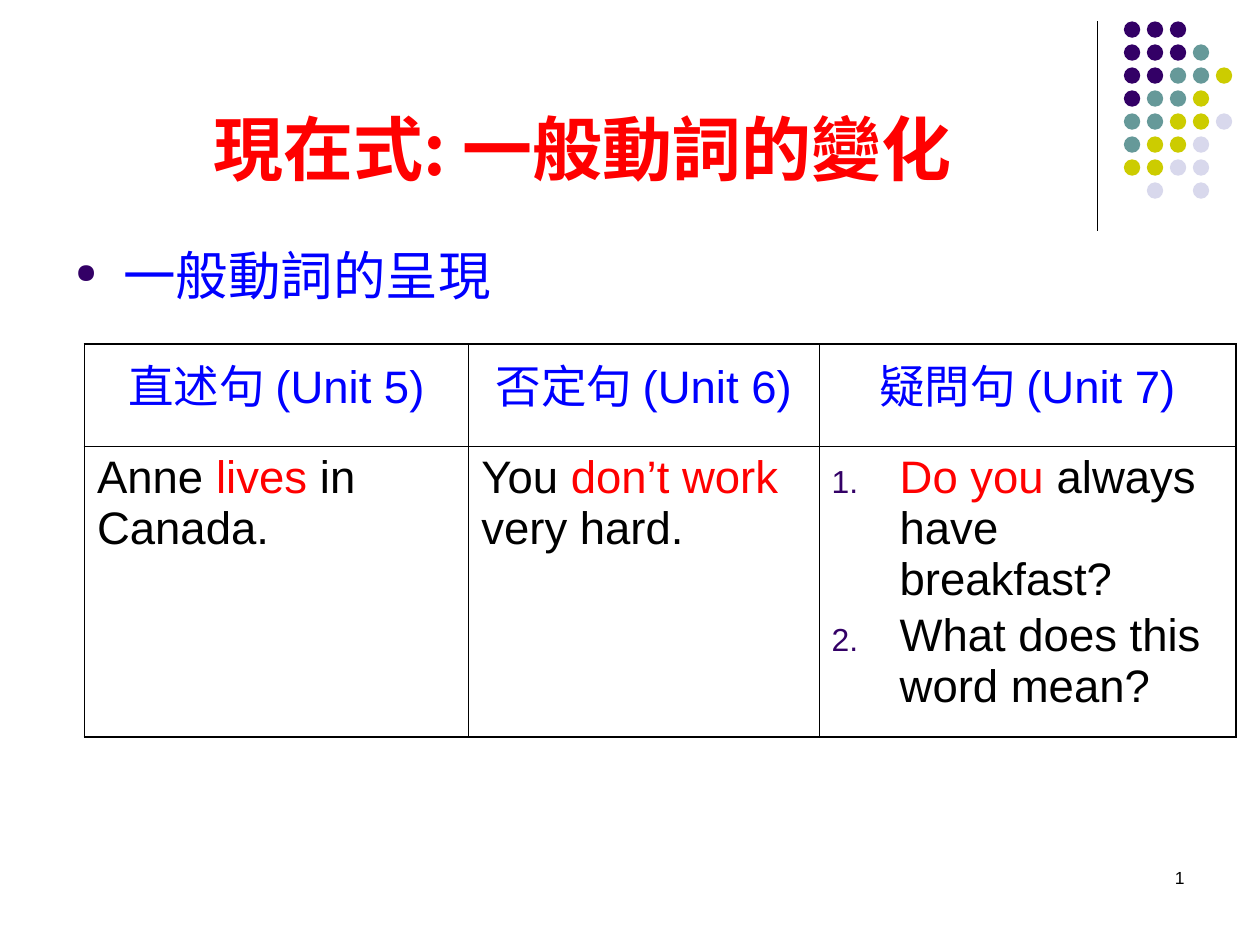
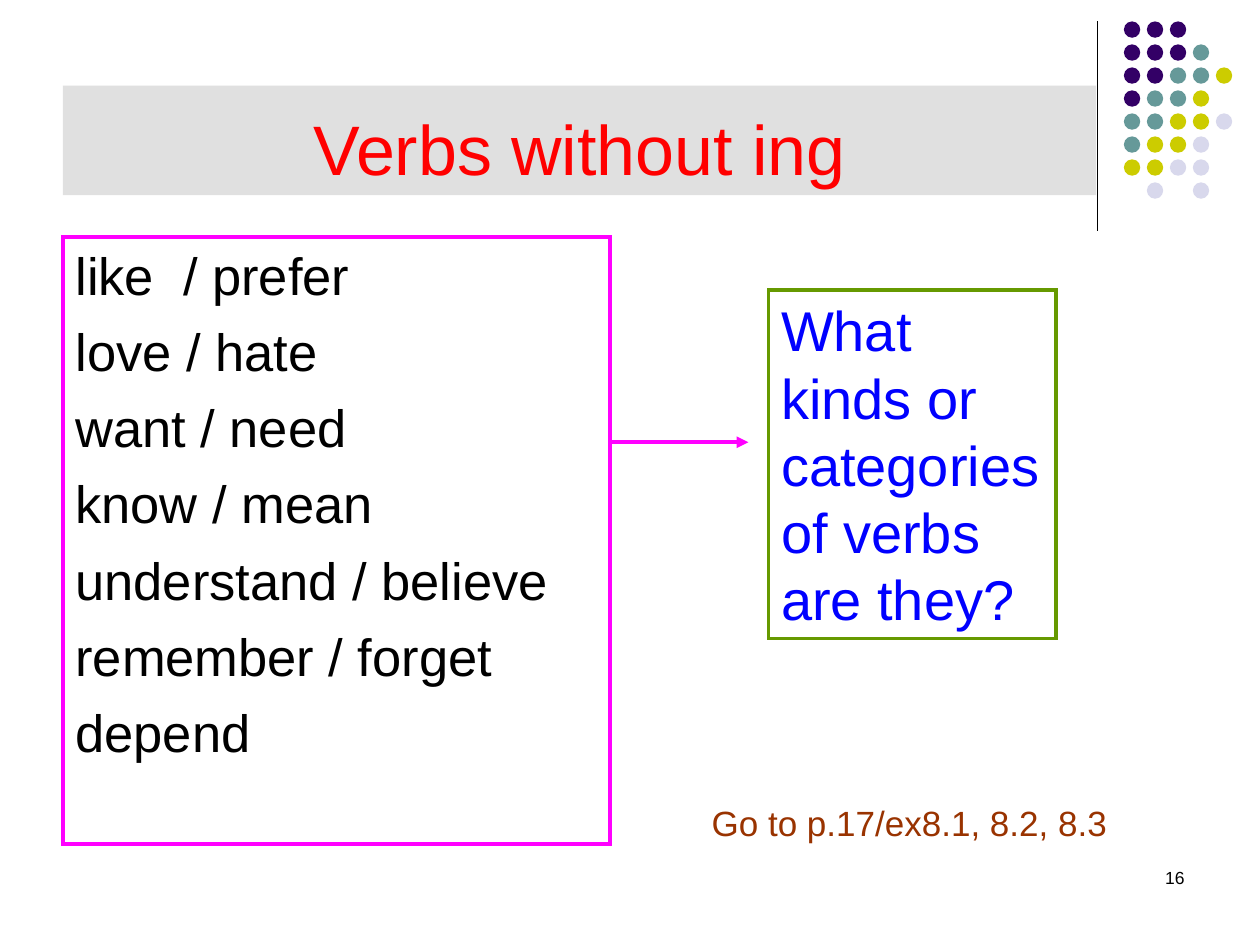
from lxml.etree import SubElement
from pptx import Presentation
from pptx.dml.color import RGBColor
from pptx.enum.shapes import MSO_CONNECTOR, MSO_SHAPE
from pptx.enum.text import MSO_ANCHOR, PP_ALIGN
from pptx.oxml.ns import qn
from pptx.util import Inches, Pt

BLACK = RGBColor(0x00, 0x00, 0x00)
RED = RGBColor(0xFF, 0x00, 0x00)
BLUE = RGBColor(0x00, 0x00, 0xFF)
MAGENTA = RGBColor(0xFF, 0x00, 0xFF)
GREEN = RGBColor(0x66, 0x99, 0x00)
BROWN = RGBColor(0x99, 0x33, 0x00)
GREY = RGBColor(0xC0, 0xC0, 0xC0)
PURPLE = RGBColor(0x33, 0x00, 0x66)
TEAL = RGBColor(0x66, 0x99, 0x99)
OLIVE = RGBColor(0xCC, 0xCC, 0x00)
LAVENDER = RGBColor(0xD8, 0xD8, 0xEC)

LATIN_FONT = "Arial"
CJK_FONT = "Noto Sans CJK SC"

DOT_COLOURS = {"P": PURPLE, "T": TEAL, "O": OLIVE, "L": LAVENDER}
DOT_ROWS = ["PPP", "PPPT", "PPTTO", "PTTO", "TTOOL", "TOOL", "OOLL", ".L.L"]
DOT_SIZE = 0.13
DOT_PITCH = 0.73 / 4

TITLE_SIZE = 40
BODY_SIZE = 30
TABLE_SIZE = 26
THICK, THIN = 1.08, 0.45


def add_xml(parent, tag, **attributes):
    return SubElement(parent, qn(tag), attributes)


def set_bullet(paragraph, indent, char=None):
    """Hang the paragraph on a bullet character, or on a number if none is given."""
    properties = paragraph._p.get_or_add_pPr()
    properties.set("marL", str(Inches(indent)))
    properties.set("indent", str(-Inches(indent)))
    add_xml(add_xml(properties, "a:buClr"), "a:srgbClr", val=str(PURPLE))
    add_xml(properties, "a:buSzPct", val="52000" if char else "70000")
    if char:
        add_xml(properties, "a:buChar", char=char)
    else:
        add_xml(properties, "a:buAutoNum", type="arabicPeriod")


def write_text(frame, paragraphs, size, colour=BLACK, font=LATIN_FONT, bold=False,
               align=PP_ALIGN.LEFT, anchor=MSO_ANCHOR.TOP, space_before=0,
               indent=None, bullet=None):
    """Each paragraph is a string or a list of (text, colour) runs."""
    frame.word_wrap = True
    frame.vertical_anchor = anchor
    for index, content in enumerate(paragraphs):
        paragraph = frame.paragraphs[0] if index == 0 else frame.add_paragraph()
        if indent:
            set_bullet(paragraph, indent, bullet)
        paragraph.alignment = align
        paragraph.space_before = Pt(space_before if index else 0)
        runs = [(content, colour)] if isinstance(content, str) else content
        for text, run_colour in runs:
            run = paragraph.add_run()
            run.text = text
            run.font.size = Pt(size)
            run.font.bold = bold
            run.font.name = font
            run.font.color.rgb = run_colour
            add_xml(run._r.get_or_add_rPr(), "a:ea", typeface=CJK_FONT)


def add_box(slide, box, shape=MSO_SHAPE.RECTANGLE, fill=None, line=None, width=2.25):
    part = slide.shapes.add_shape(shape, *map(Inches, box))
    part.shadow.inherit = False
    if fill is None:
        part.fill.background()
    else:
        part.fill.solid()
        part.fill.fore_color.rgb = fill
    if line is None:
        part.line.fill.background()
    else:
        part.line.color.rgb = line
        part.line.width = Pt(width)
        add_xml(part.line._get_or_add_ln(), "a:miter", lim="800000")
    return part


def add_label(slide, box, paragraphs, **text_format):
    label = slide.shapes.add_textbox(*map(Inches, box))
    write_text(label.text_frame, paragraphs, **text_format)


def add_line(slide, start, end, colour, width, arrow=False):
    line = slide.shapes.add_connector(MSO_CONNECTOR.STRAIGHT, *map(Inches, start + end))
    line.line.color.rgb = colour
    line.line.width = Pt(width)
    if arrow:
        add_xml(line.line._get_or_add_ln(), "a:tailEnd", type="triangle")
    add_xml(line._element.spPr, "a:effectLst")


def add_corner_dots(slide, left, top):
    for row, pattern in enumerate(DOT_ROWS):
        for column, key in enumerate(pattern):
            if key in DOT_COLOURS:
                dot = (left + column * DOT_PITCH, top + row * DOT_PITCH, DOT_SIZE, DOT_SIZE)
                add_box(slide, dot, MSO_SHAPE.OVAL, fill=DOT_COLOURS[key])


def add_slide(deck, number):
    """Blank slide with the corner decoration and its page number."""
    slide = deck.slides.add_slide(deck.slide_layouts[6])
    add_line(slide, (8.71, 0.17), (8.71, 1.83), BLACK, 0.75)
    add_corner_dots(slide, 8.92, 0.17)
    add_label(slide, (7.17, 6.83, 2.33, 0.5), [number], size=10, align=PP_ALIGN.RIGHT)
    return slide


def set_borders(cell, **widths):
    properties = cell._tc.get_or_add_tcPr()
    for position, side in enumerate("LRTB"):
        border = properties.makeelement(qn(f"a:ln{side}"), {"w": str(Pt(widths[side]))})
        add_xml(add_xml(border, "a:solidFill"), "a:srgbClr", val=str(BLACK))
        properties.insert(position, border)


def add_sentence_table(slide, box, column_widths, row_heights, headings, examples):
    rows, columns = len(row_heights), len(column_widths)
    table = slide.shapes.add_table(rows, columns, *map(Inches, box)).table
    table.first_row = table.horz_banding = False
    for column, width in zip(table.columns, column_widths):
        column.width = Inches(width)
    for row, height in zip(table.rows, row_heights):
        row.height = Inches(height)
    for c, (heading, example) in enumerate(zip(headings, examples)):
        write_text(table.cell(0, c).text_frame, [heading], size=TABLE_SIZE,
                   colour=BLUE, align=PP_ALIGN.CENTER)
        write_text(table.cell(1, c).text_frame, example, size=TABLE_SIZE,
                   space_before=6.5 / 2, indent=0.54 if len(example) > 1 else None)
        for r in range(rows):
            cell = table.cell(r, c)
            cell.fill.background()
            set_borders(cell, L=THIN if c else THICK, T=THIN if r else THICK,
                        R=THICK if c == columns - 1 else THIN,
                        B=THICK if r == rows - 1 else THIN)


def build_present_tense(deck):
    slide = add_slide(deck, "1")
    add_label(slide, (0.5, 0.76, 8.25, 0.79), ["現在式: 一般動詞的變化"], size=TITLE_SIZE,
              colour=RED, font=CJK_FONT, bold=True, align=PP_ALIGN.CENTER,
              anchor=MSO_ANCHOR.BOTTOM)
    add_label(slide, (0.5, 1.88, 4.19, 0.69), ["一般動詞的呈現"], size=BODY_SIZE,
              colour=BLUE, indent=0.38, bullet="●")
    add_sentence_table(
        slide, (0.67, 2.73, 9.14, 3.03), (3.05, 2.78, 3.31), (0.81, 2.22),
        ["直述句 (Unit 5)", "否定句 (Unit 6)", "疑問句 (Unit 7)"],
        [[[("Anne ", BLACK), ("lives", RED), (" in Canada.", BLACK)]],
         [[("You ", BLACK), ("don’t work", RED), (" very hard.", BLACK)]],
         [[("Do you", RED), (" always have breakfast?", BLACK)],
          "What does this word mean?"]])


def build_verbs_without_ing(deck):
    slide = add_slide(deck, "16")
    band = add_box(slide, (0.5, 0.68, 8.2, 0.87), fill=GREY)
    band_colour = band.fill._xPr.find(qn("a:solidFill"))[0]
    add_xml(band_colour, "a:alpha", val="49000")
    write_text(band.text_frame, ["Verbs without ing"], size=TITLE_SIZE, colour=RED,
               align=PP_ALIGN.CENTER, anchor=MSO_ANCHOR.BOTTOM)

    verbs = add_box(slide, (0.5, 1.88, 4.34, 4.82), line=MAGENTA)
    write_text(verbs.text_frame,
               ["like  / prefer", "love / hate", "want / need", "know / mean",
                "understand / believe", "remember / forget", "depend"],
               size=BODY_SIZE, space_before=7.5)

    add_label(slide, (5.55, 6.31, 3.86, 0.44), ["Go to p.17/ex8.1, 8.2, 8.3"],
              size=20, colour=BROWN)
    add_line(slide, (4.84, 3.51), (5.94, 3.51), MAGENTA, 2.25, arrow=True)
    question = add_box(slide, (6.1, 2.3, 2.28, 2.77), line=GREEN, width=2)
    write_text(question.text_frame, ["What kinds or categories of verbs are they?"],
               size=32, colour=BLUE)


def main():
    deck = Presentation()
    deck.slide_width, deck.slide_height = Inches(10), Inches(7.5)
    build_present_tense(deck)
    build_verbs_without_ing(deck)
    deck.save("out.pptx")


if __name__ == "__main__":
    main()
